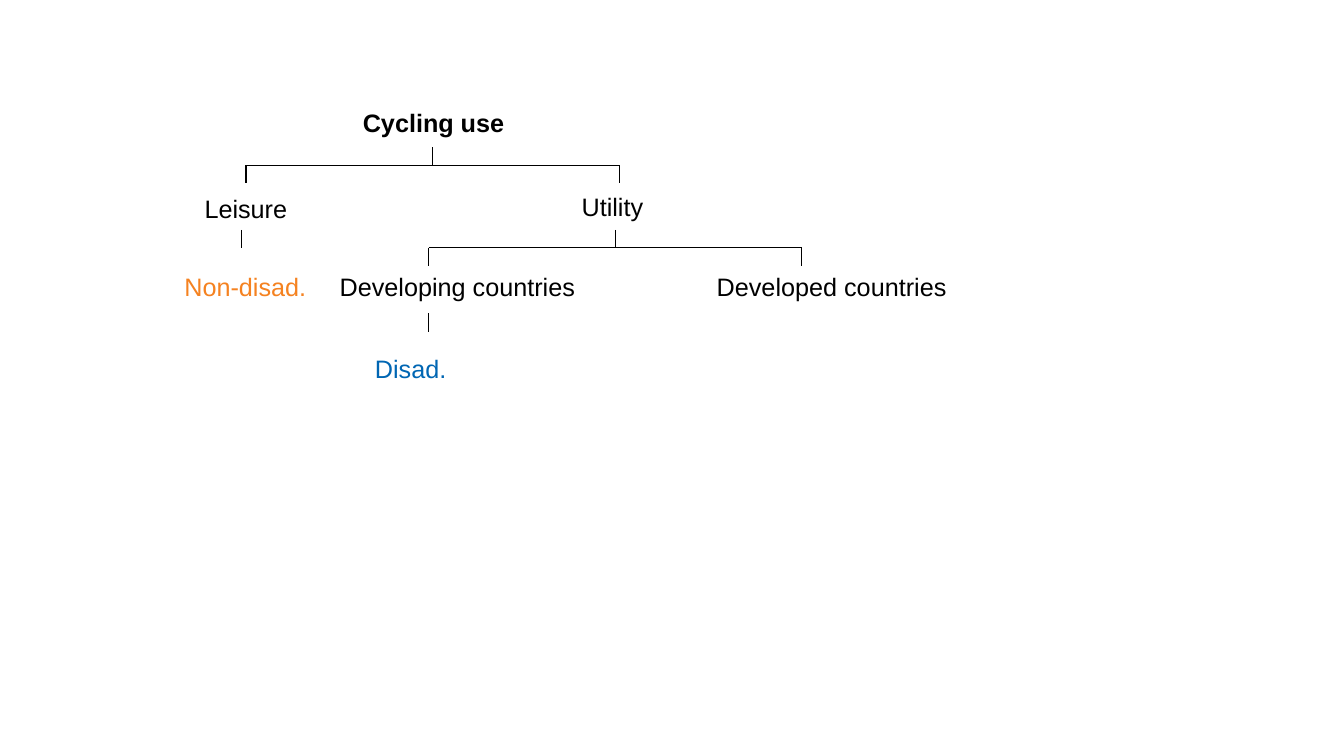
from pptx import Presentation
from pptx.dml.color import RGBColor
from pptx.enum import shapes
from pptx.oxml.ns import qn
from pptx.util import Inches, Pt
from lxml import etree

COLORS = {"black": "000000", "orange": "F58220", "blue": "0066B3"}

LABELS = [
    ("Cycling use", 3.5, 1.02, 3.39, "black", True),
    ("Leisure", 1.93, 1.87, 3.39, "black", False),
    ("Utility", 5.67, 1.85, 3.39, "black", False),
    ("Non-disad.", 1.73, 2.64, 3.39, "orange", False),
    ("Developing countries", 3.27, 2.64, 3.39, "black", False),
    ("Developed countries", 7.01, 2.64, 3.39, "black", False),
    ("Disad.", 3.62, 3.46, 1.22, "blue", False),
]
FORKS = [(2.44, 1.46), (4.25, 2.28)]
STEMS = [(2.4, 2.28), (4.25, 3.11)]

LABEL_HEIGHT = 0.38
STEM_LENGTH = 0.18
FORK_WIDTH = 3.7


def add_label(slide, wording, left, top, width, color, bold):
    box = slide.shapes.add_textbox(
        Inches(left), Inches(top), Inches(width), Inches(LABEL_HEIGHT))
    box.text_frame.word_wrap = True
    paragraph = box.text_frame.paragraphs[0]
    paragraph.text = wording
    paragraph.font.name = "Arial"
    paragraph.font.size = Pt(18)
    paragraph.font.bold = bold
    paragraph.font.color.rgb = RGBColor.from_string(COLORS[color])


def add_line(slide, x1, y1, x2, y2):
    line = slide.shapes.add_connector(
        shapes.MSO_CONNECTOR.STRAIGHT,
        Inches(x1), Inches(y1), Inches(x2), Inches(y2))
    line.line.color.rgb = RGBColor.from_string(COLORS["black"])
    line.line.width = Pt(0.75)
    etree.SubElement(line._element.spPr, qn("a:effectLst"))


def add_stem(slide, x, top):
    add_line(slide, x, top, x, top + STEM_LENGTH)


def add_fork(slide, left, top):
    bar = top + STEM_LENGTH
    right = left + FORK_WIDTH
    add_stem(slide, left + FORK_WIDTH / 2, top)
    add_line(slide, left, bar, right, bar)
    for x in (left, right):
        add_stem(slide, x, bar)


def main():
    presentation = Presentation()
    presentation.slide_width = Inches(13.33)
    presentation.slide_height = Inches(7.5)
    slide = presentation.slides.add_slide(
        presentation.slide_layouts.get_by_name("Blank"))
    for label in LABELS:
        add_label(slide, *label)
    for left, top in FORKS:
        add_fork(slide, left, top)
    for x, top in STEMS:
        add_stem(slide, x, top)
    presentation.save("out.pptx")


if __name__ == "__main__":
    main()
